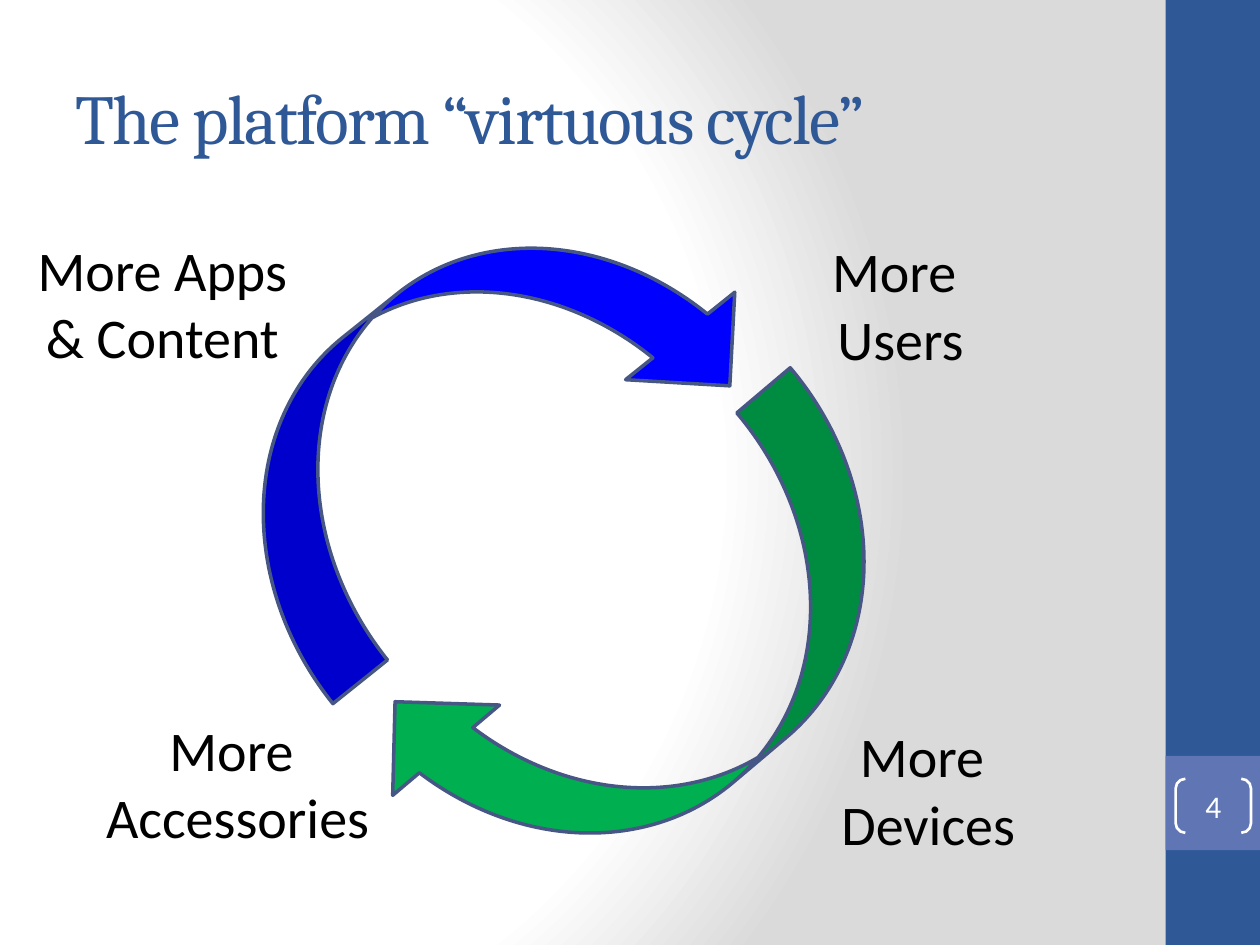
"""Build the slide on the platform's virtuous cycle."""
from pptx import Presentation, oxml
from pptx import util as u
from pptx.dml.color import RGBColor
from pptx.enum import shapes, text
from pptx.oxml.ns import nsdecls

NAVY = RGBColor(0x2F, 0x58, 0x97)
PERIWINKLE = RGBColor(0x60, 0x76, 0xB4)
WHITE = RGBColor(0xFF, 0xFF, 0xFF)
BLACK = RGBColor(0, 0, 0)
BLUE = RGBColor(0, 0, 0xFF)
GREEN = RGBColor(0, 0xB0, 0x50)
OUTLINE = RGBColor(0x47, 0x57, 0x85)

TITLE = "The platform “virtuous cycle”"
PAGE = "4"
LABELS = [
    (["More ", "Users"], 14.88, 4.65),
    (["More Apps & Content"], 0, 4.62),
    (["More ", "Devices"], 15.44, 14.43),
    (["More ", "Accessories"], 1.52, 14.3),
]
LABEL_SIZE = (6.55, 3)
ARROWS = [
    ((6.68, 2.51, 5.64, 11.66), 231.3, BLUE),
    ((10.41, 7.47, 5.64, 11.84), 49.8, GREEN),
]
BANDS = [((23.5, 0, 1.9, 19.05), NAVY), ((23.5, 15.24, 1.9, 1.9), PERIWINKLE)]
BRACKETS = (23.7, 15.7, 1.52, 1.09)
TITLE_BOX = (1.27, 0.76, 21.16, 3.18)

TITLE_FONT = {"name": "Cambria", "size": u.Pt(40)}
LABEL_FONT = {"name": "Calibri", "size": u.Pt(32)}
PAGE_FONT = {"name": "Calibri", "size": u.Pt(18)}
TITLE_FRAME = {"word_wrap": True, "auto_size": text.MSO_AUTO_SIZE.NONE,
               "vertical_anchor": text.MSO_ANCHOR.MIDDLE}
LABEL_FRAME = {"word_wrap": True, "auto_size": text.MSO_AUTO_SIZE.SHAPE_TO_FIT_TEXT}
PAGE_FRAME = {"vertical_anchor": text.MSO_ANCHOR.MIDDLE, "margin_left": 0,
              "margin_top": 0, "margin_right": 0, "margin_bottom": 0}
GRADIENT = f"""<a:gradFill {nsdecls('a')} rotWithShape="1"><a:gsLst>
<a:gs pos="0"><a:srgbClr val="FFFFFF"/></a:gs>
<a:gs pos="75000"><a:srgbClr val="FFFFFF"/></a:gs>
<a:gs pos="100000"><a:srgbClr val="DADADA"/></a:gs></a:gsLst>
<a:path path="circle"><a:fillToRect l="20000" t="50000" r="100000" b="50000"/></a:path>
</a:gradFill>"""


def apply(target, values):
    for name, value in values.items():
        setattr(target, name, value)


def cm(box):
    return [u.Cm(length) for length in box]


def write(frame, lines, frame_format, font, color, align):
    apply(frame, frame_format)
    for index, line in enumerate(lines):
        paragraph = frame.add_paragraph() if index else frame.paragraphs[0]
        paragraph.alignment = align
        run = paragraph.add_run()
        run.text = line
        apply(run.font, font)
        run.font.color.rgb = color


def draw(slide, kind, box, fill=None, line=None, width=0):
    part = slide.shapes.add_shape(kind, *cm(box))
    part.shadow.inherit = False
    for paint, color in ((part.fill, fill), (part.line.fill, line)):
        if color is None:
            paint.background()
        else:
            paint.solid()
            paint.fore_color.rgb = color
    if line is not None:
        part.line.width = u.Pt(width)
    return part


def main():
    deck = Presentation()
    deck.slide_width, deck.slide_height = cm((25.4, 19.05))
    slide = deck.slides.add_slide(deck.slide_layouts[5])
    center = text.PP_ALIGN.CENTER

    slide.background.fill.gradient()
    plain = slide.element.xpath(".//p:bgPr/a:gradFill")[0]
    plain.getparent().replace(plain, oxml.parse_xml(GRADIENT))

    for box, color in BANDS:
        draw(slide, shapes.MSO_SHAPE.RECTANGLE, box, color)

    title = slide.shapes.title
    apply(title, dict(zip(("left", "top", "width", "height"), cm(TITLE_BOX))))
    write(title.text_frame, [TITLE], TITLE_FRAME, TITLE_FONT, NAVY, text.PP_ALIGN.LEFT)
    title.text_frame.paragraphs[0].runs[0].font._element.set("spc", "-100")

    page = draw(slide, shapes.MSO_SHAPE.DOUBLE_BRACKET, BRACKETS, line=WHITE, width=1.5)
    page.adjustments[0] = 0.18
    write(page.text_frame, [PAGE], PAGE_FRAME, PAGE_FONT, WHITE, center)

    for box, angle, color in ARROWS:
        arrow = draw(slide, shapes.MSO_SHAPE.CURVED_LEFT_ARROW, box, color, OUTLINE, 2)
        arrow.rotation = angle

    for lines, left, top in LABELS:
        label = slide.shapes.add_textbox(*cm((left, top, *LABEL_SIZE)))
        write(label.text_frame, lines, LABEL_FRAME, LABEL_FONT, BLACK, center)

    deck.save("out.pptx")


if __name__ == "__main__":
    main()
